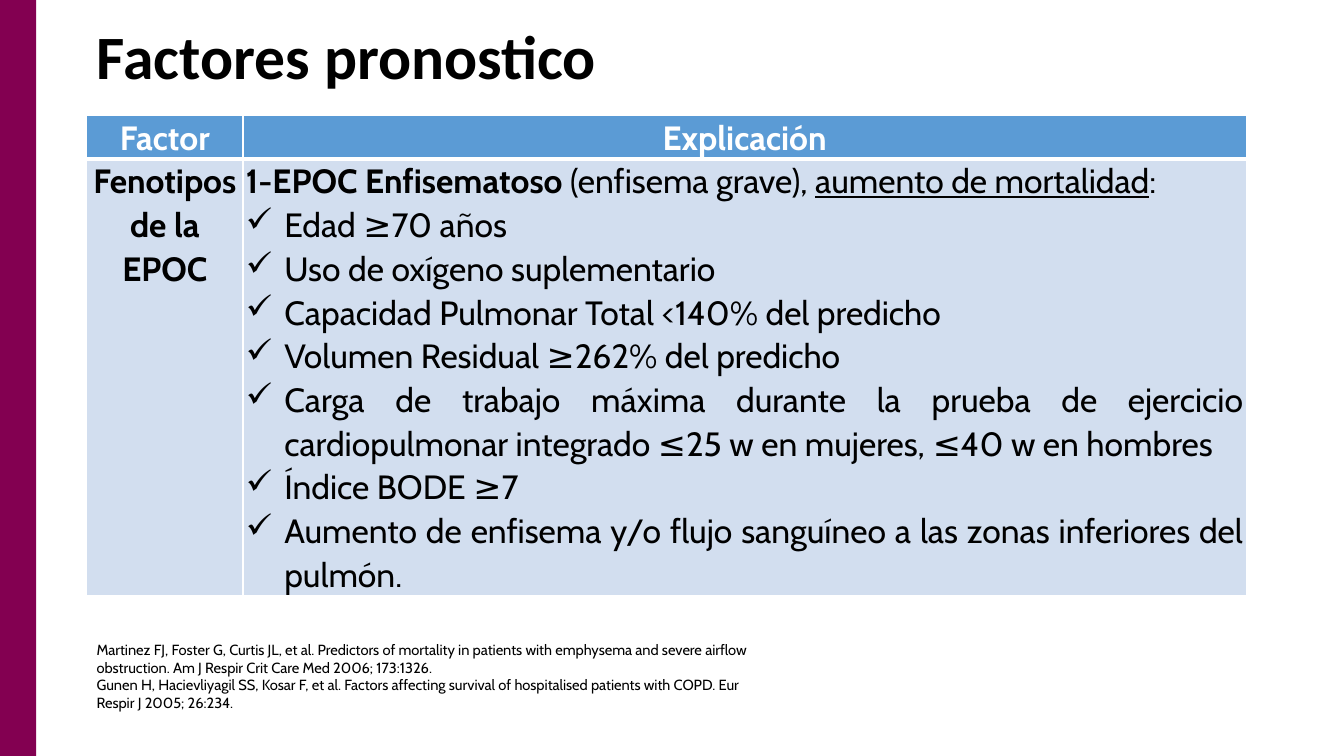
from lxml import etree
from pptx import Presentation
from pptx.dml.color import RGBColor
from pptx.enum.shapes import MSO_SHAPE
from pptx.enum.text import MSO_ANCHOR, PP_ALIGN
from pptx.oxml.ns import qn
from pptx.util import Inches, Pt

LEFT, CENTER, JUSTIFY = PP_ALIGN.LEFT, PP_ALIGN.CENTER, PP_ALIGN.JUSTIFY
MIDDLE, RECT = MSO_ANCHOR.MIDDLE, MSO_SHAPE.RECTANGLE
BLACK = RGBColor(0x00, 0x00, 0x00)
WHITE = RGBColor(0xFF, 0xFF, 0xFF)
MAROON = RGBColor(0x83, 0x00, 0x51)
BLUE = RGBColor(0x5B, 0x9B, 0xD5)
PALE_BLUE = RGBColor(0xD2, 0xDE, 0xEF)


def add_text(p, text, size=24, font="Cabin", color=BLACK, bold=False,
             underline=False, align=LEFT, spacing=None):
    p.alignment = align
    p.line_spacing = spacing
    r = p.add_run()
    r.text = text
    r.font.size, r.font.name = Pt(size), font
    r.font.bold, r.font.underline = bold, underline
    r.font.color.rgb = color


def format_cell(cell, fill, bottom):
    cell.margin_left = cell.margin_right = Inches(0.03)
    cell.margin_top = cell.margin_bottom = 0
    tcPr = cell._tc.get_or_add_tcPr()
    for side, width in (("lnL", 1), ("lnR", 1), ("lnT", 1), ("lnB", bottom)):
        ln = etree.SubElement(tcPr, qn("a:" + side), w=str(Pt(width)))
        line_fill = etree.SubElement(ln, qn("a:solidFill"))
        etree.SubElement(line_fill, qn("a:srgbClr"), val=str(WHITE))
    cell.fill.solid()
    cell.fill.fore_color.rgb = fill


prs = Presentation()
prs.slide_width, prs.slide_height = Inches(13.33), Inches(7.5)
s = prs.slides.add_slide(prs.slide_layouts[5])

# Side bar
bar = s.shapes.add_shape(RECT, 0, 0, Inches(0.36), prs.slide_height)
bar.shadow.inherit = False
bar.fill.solid()
bar.fill.fore_color.rgb = MAROON
bar.line.fill.background()

# Title
title = s.shapes.title
title.left, title.top = Inches(0.86), Inches(-0.13)
title.width, title.height = Inches(11.5), Inches(1.45)
tf = title.text_frame
tf.vertical_anchor = MIDDLE
add_text(tf.paragraphs[0], "Factores pronostico", size=44, font="Calibri",
         bold=True, spacing=0.9)

# Table frame
table = s.shapes.add_table(2, 2, Inches(0.86), Inches(1.14),
                           Inches(11.5), Inches(4.71)).table
for col, width in zip(table.columns, (1.55, 9.95)):
    col.width = Inches(width)
for row, height, fill, bottom in zip(table.rows, (0.42, 4.29),
                                     (BLUE, PALE_BLUE), (3, 1)):
    row.height = Inches(height)
    for cell in row.cells:
        format_cell(cell, fill, bottom)

# Headings and factor name
for row, col, text, color in ((0, 0, "Factor", WHITE),
                              (0, 1, "Explicación", WHITE),
                              (1, 0, "Fenotipos de la EPOC", BLACK)):
    add_text(table.cell(row, col).text_frame.paragraphs[0], text, color=color,
             bold=True, align=CENTER, spacing=1.07)

# Explanation with check-mark list
tf = table.cell(1, 1).text_frame
for text, bold, underline in (("1-EPOC Enfisematoso ", True, False),
                              ("(enfisema grave), ", False, False),
                              ("aumento de mortalidad", False, True),
                              (":", False, False)):
    add_text(tf.paragraphs[0], text, bold=bold, underline=underline,
             align=JUSTIFY, spacing=1.07)

criteria = (
    "Edad ≥70 años",
    "Uso de oxígeno suplementario",
    "Capacidad Pulmonar Total <140% del predicho",
    "Volumen Residual ≥262% del predicho",
    "Carga de trabajo máxima durante la prueba de ejercicio "
    "cardiopulmonar integrado ≤25 w en mujeres, ≤40 w en hombres",
    "Índice BODE ≥7",
    "Aumento de enfisema y/o flujo sanguíneo a las zonas inferiores "
    "del pulmón.",
)
for text in criteria:
    p = tf.add_paragraph()
    add_text(p, text, align=JUSTIFY, spacing=1.07)
    pPr = p._p.get_or_add_pPr()
    pPr.set("marL", str(Inches(0.38)))
    pPr.set("indent", str(-Inches(0.38)))
    etree.SubElement(pPr, qn("a:buChar"), char="✓")

# References
tf = s.shapes.add_textbox(Inches(0.86), Inches(6.31),
                          Inches(6.67), Inches(0.81)).text_frame
tf.word_wrap = True
references = (
    "Martinez FJ, Foster G, Curtis JL, et al. Predictors of mortality in "
    "patients with emphysema and severe airflow obstruction. "
    "Am J Respir Crit Care Med 2006; 173:1326.",
    "Gunen H, Hacievliyagil SS, Kosar F, et al. Factors affecting survival of "
    "hospitalised patients with COPD. Eur Respir J 2005; 26:234.",
)
for i, text in enumerate(references):
    p = tf.add_paragraph() if i else tf.paragraphs[0]
    add_text(p, text, size=10.5)

prs.save("out.pptx")
